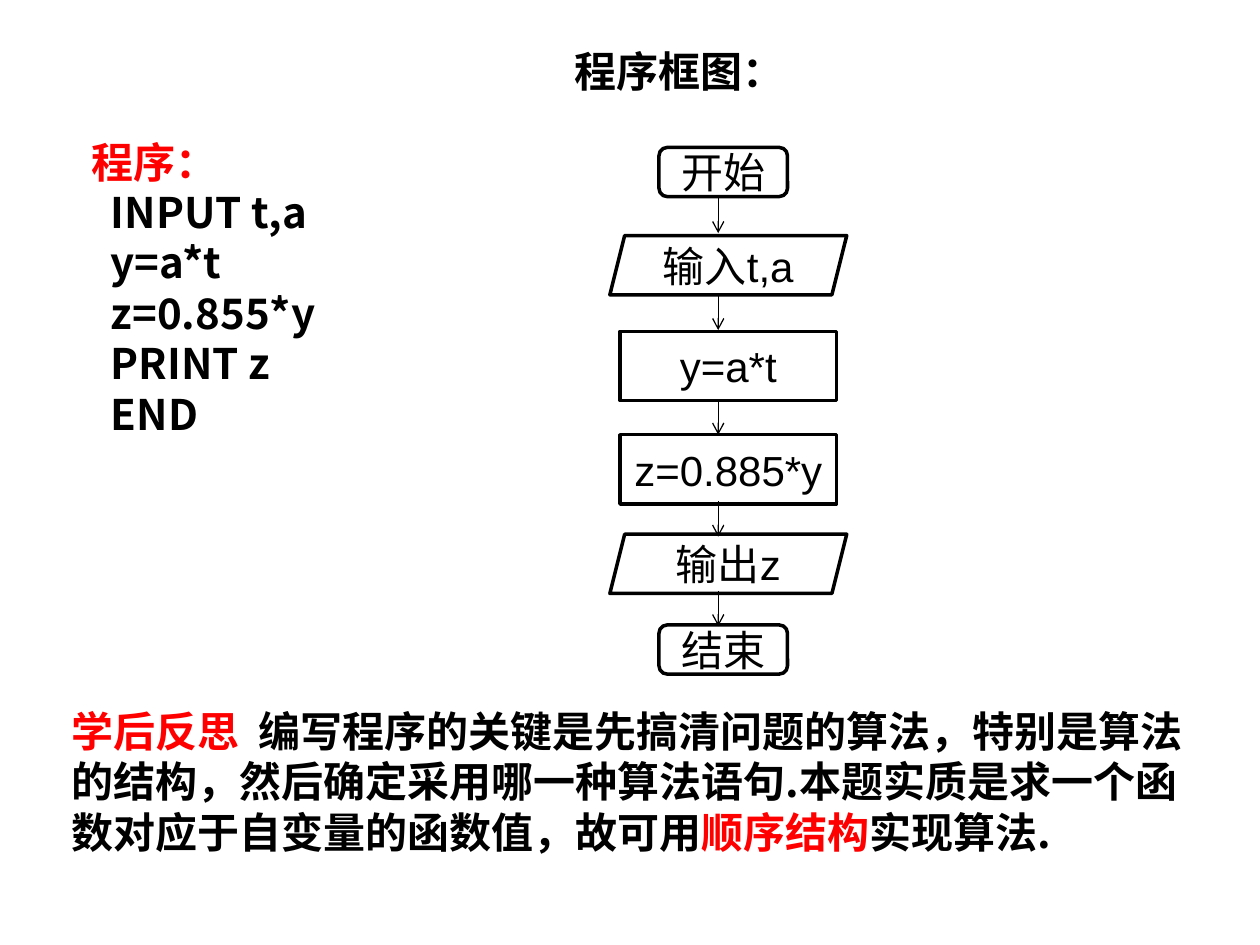
import pptx
import pptx.util
import pptx.dml.color
import pptx.enum.shapes
import pptx.enum.text
import pptx.oxml.ns
from lxml import etree

Inches = pptx.util.Inches
Pt = pptx.util.Pt
SHAPE = pptx.enum.shapes.MSO_SHAPE
ANCHOR = pptx.enum.text.MSO_ANCHOR
ALIGN = pptx.enum.text.PP_ALIGN
qn = pptx.oxml.ns.qn

CJK = "Noto Sans CJK SC"
BLACK, RED = "000000", "FF0000"


def rgb(value):
    return pptx.dml.color.RGBColor.from_string(value)


class FlowSlide:
    heading = {"size": Pt(24), "bold": True, "name": CJK}
    label = {"size": Pt(24), "bold": False, "name": "Arial"}

    def __init__(self, prs):
        self.s = prs.slides.add_slide(prs.slide_layouts[6])

    def run(self, p, text, color, style):
        r = p.add_run()
        r.text = text
        for key, value in style.items():
            setattr(r.font, key, value)
        r.font.color.rgb = rgb(color)
        etree.SubElement(r.font._element, qn("a:ea"), typeface=CJK)

    def text(self, box, paragraphs, anchor=ANCHOR.MIDDLE, wrap=True, tab=None):
        """Add a text box; each paragraph is a list of (text, color) runs."""
        tf = self.s.shapes.add_textbox(*map(Inches, box)).text_frame
        tf.word_wrap = wrap
        tf.vertical_anchor = anchor
        tf.auto_size = pptx.enum.text.MSO_AUTO_SIZE.SHAPE_TO_FIT_TEXT
        for i, runs in enumerate(paragraphs):
            p = tf.add_paragraph() if i else tf.paragraphs[0]
            if tab:
                tabs = etree.SubElement(p._p.get_or_add_pPr(), qn("a:tabLst"))
                etree.SubElement(tabs, qn("a:tab"), pos=str(Inches(tab)), algn="l")
            for text, color in runs:
                self.run(p, text, color, self.heading)

    def step(self, kind, box, text):
        sp = self.s.shapes.add_shape(kind, *map(Inches, box))
        sp.shadow.inherit = False
        sp.fill.background()
        sp.line.color.rgb = rgb(BLACK)
        sp.line.width = Pt(2)
        tf = sp.text_frame
        tf.word_wrap = False
        tf.vertical_anchor = ANCHOR.MIDDLE
        p = tf.paragraphs[0]
        p.alignment = ALIGN.CENTER
        self.run(p, text, BLACK, self.label)

    def arrow(self, x, top, bottom):
        line = self.s.shapes.add_connector(
            pptx.enum.shapes.MSO_CONNECTOR.STRAIGHT,
            Inches(x), Inches(top), Inches(x), Inches(bottom))
        line.line.color.rgb = rgb(BLACK)
        line.line.width = Pt(0.75)
        etree.SubElement(line.line._get_or_add_ln(), qn("a:tailEnd"), type="arrow")
        etree.SubElement(line._element.spPr, qn("a:effectLst"))


def main():
    prs = pptx.Presentation()
    prs.slide_width, prs.slide_height = Inches(10), Inches(7.5)
    slide = FlowSlide(prs)

    code = ["  INPUT t,a", "  y=a*t", "  z=0.855*y", "  PRINT z", "  END"]
    slide.text((0.63, 1.03, 2.42, 2.5),
               [[("程序：", RED)]] + [[(line, BLACK)] for line in code])
    slide.text((0.47, 5.55, 9.06, 1.3), [[
        ("学后反思\t", RED),
        ("编写程序的关键是先搞清问题的算法，特别是算法的结构，然后确定采用哪一种算法语句."
         "本题实质是求一个函数对应于自变量的函数值，故可用", BLACK),
        ("顺序结构", RED),
        ("实现算法.", BLACK),
    ]], tab=1.48)
    slide.text((4.46, 0.31, 1.86, 0.5), [[("程序框图：", BLACK)]],
               anchor=ANCHOR.TOP, wrap=False)

    # Each kind of step: preset, left, width, height
    terminal = (SHAPE.ROUNDED_RECTANGLE, 5.23, 1.02, 0.39)
    data = (SHAPE.PARALLELOGRAM, 4.84, 1.88, 0.47)
    process = (SHAPE.RECTANGLE, 4.92, 1.72, 0.55)
    steps = [
        (terminal, 1.17, "开始"),
        (data, 1.87, "输入t,a"),
        (process, 2.63, "y=a*t"),
        (process, 3.45, "z=0.885*y"),
        (data, 4.24, "输出z"),
        (terminal, 4.96, "结束"),
    ]
    for (kind, left, width, height), top, text in steps:
        slide.step(kind, (left, top, width, height), text)

    # The arrows share one line left of the steps' centres
    for top in (1.57, 2.34, 3.17, 3.98, 4.69):
        slide.arrow(5.7, top, top + 0.28)

    prs.save("out.pptx")


if __name__ == "__main__":
    main()
